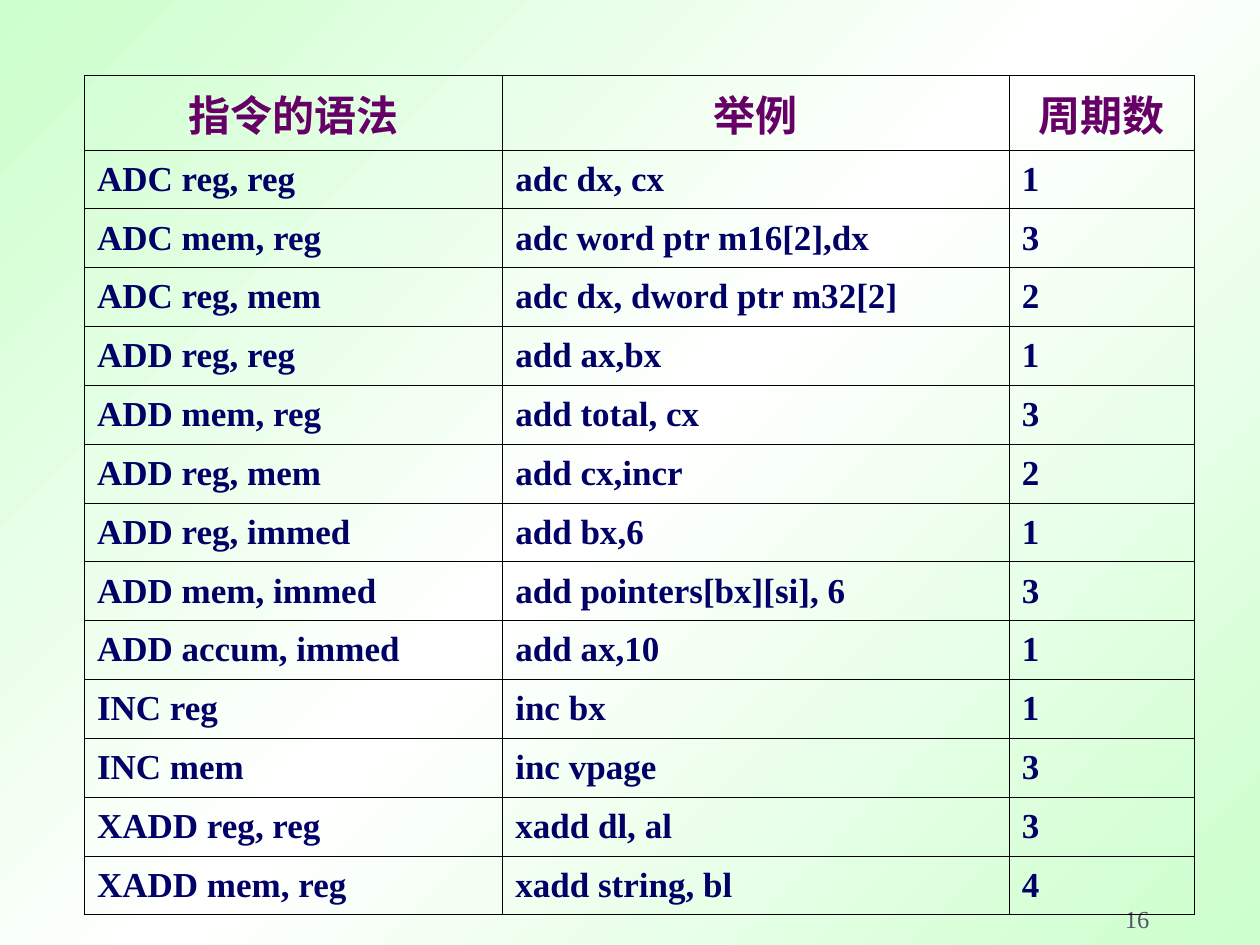
"""Build a slide tabulating instruction syntax, examples and cycle counts."""
from copy import deepcopy

from lxml.etree import SubElement
from pptx import Presentation
from pptx.dml.color import RGBColor as Rgb
from pptx.enum.text import MSO_ANCHOR as Anchor, PP_ALIGN as Align
from pptx.oxml.ns import qn
from pptx.util import Inches, Pt

THEME = {
    "background": [(0, "CCFFCC"), (0.5, "FFFFFF"), (1, "CCFFCC")],
    "border": ("000000", Pt(0.34)),
    "header": {"name": "Times New Roman", "size": Pt(24), "bold": True, "color": "660066"},
    "body": {"name": "Times New Roman", "size": Pt(20), "bold": True, "color": "000066"},
    "page": {"name": "Times New Roman", "size": Pt(14), "bold": False, "color": "545472"},
}
INSTRUCTIONS = [
    ("指令的语法", "举例", "周期数"),
    ("ADC reg, reg", "adc dx, cx", "1"),
    ("ADC mem, reg", "adc word ptr m16[2],dx", "3"),
    ("ADC reg, mem", "adc dx, dword ptr m32[2]", "2"),
    ("ADD reg, reg", "add ax,bx", "1"),
    ("ADD mem, reg", "add total, cx", "3"),
    ("ADD reg, mem", "add cx,incr", "2"),
    ("ADD reg, immed", "add bx,6", "1"),
    ("ADD mem, immed", "add pointers[bx][si], 6", "3"),
    ("ADD accum, immed", "add ax,10", "1"),
    ("INC reg", "inc bx", "1"),
    ("INC mem", "inc vpage", "3"),
    ("XADD reg, reg", "xadd dl, al", "3"),
    ("XADD mem, reg", "xadd string, bl", "4"),
]
COLUMN_WIDTHS = [3.32, 4.02, 1.47]
HEADER_HEIGHT = 0.59


def write(frame, text, role, align):
    paragraph = frame.paragraphs[0]
    paragraph.alignment = align
    run = paragraph.add_run()
    run.text = text
    for attribute, value in THEME[role].items():
        if attribute == "color":
            run.font.color.rgb = Rgb.from_string(value)
        else:
            setattr(run.font, attribute, value)


def add_borders(cell):
    color, width = THEME["border"]
    properties = cell._tc.get_or_add_tcPr()
    for side in ("a:lnL", "a:lnR", "a:lnT", "a:lnB"):
        line = SubElement(properties, qn(side), w=str(int(width)))
        SubElement(SubElement(line, qn("a:solidFill")), qn("a:srgbClr"), val=color)


presentation = Presentation()
presentation.slide_width, presentation.slide_height = Inches(10), Inches(7.5)
slide = presentation.slides.add_slide(presentation.slide_layouts[6])

backdrop = slide.background.fill
backdrop.gradient()
backdrop.gradient_angle = 315
stop_list = slide.element.find(".//" + qn("a:gsLst"))
stop_list.append(deepcopy(stop_list[0]))
for stop, (position, color) in zip(backdrop.gradient_stops, THEME["background"]):
    stop.position = position
    stop.color.rgb = Rgb.from_string(color)

page_number = slide.shapes.add_textbox(
    Inches(7.14), Inches(6.96), Inches(2.08), Inches(0.5)).text_frame
page_number.word_wrap = True
page_number.vertical_anchor = Anchor.BOTTOM
write(page_number, "16", "page", Align.RIGHT)

cycles = slide.shapes.add_table(
    len(INSTRUCTIONS), len(COLUMN_WIDTHS), Inches(0.67), Inches(0.6),
    Inches(sum(COLUMN_WIDTHS)), Inches(6.54)).table
cycles.first_row = cycles.horz_banding = False
cycles.rows[0].height = Inches(HEADER_HEIGHT)
for column, width in zip(cycles.columns, COLUMN_WIDTHS):
    column.width = Inches(width)

for row_index, (row, entries) in enumerate(zip(cycles.rows, INSTRUCTIONS)):
    role, align = ("body", Align.LEFT) if row_index else ("header", Align.CENTER)
    for cell, entry in zip(row.cells, entries):
        cell.vertical_anchor = Anchor.MIDDLE
        add_borders(cell)
        cell.fill.background()
        write(cell.text_frame, entry, role, align)

presentation.save("out.pptx")
